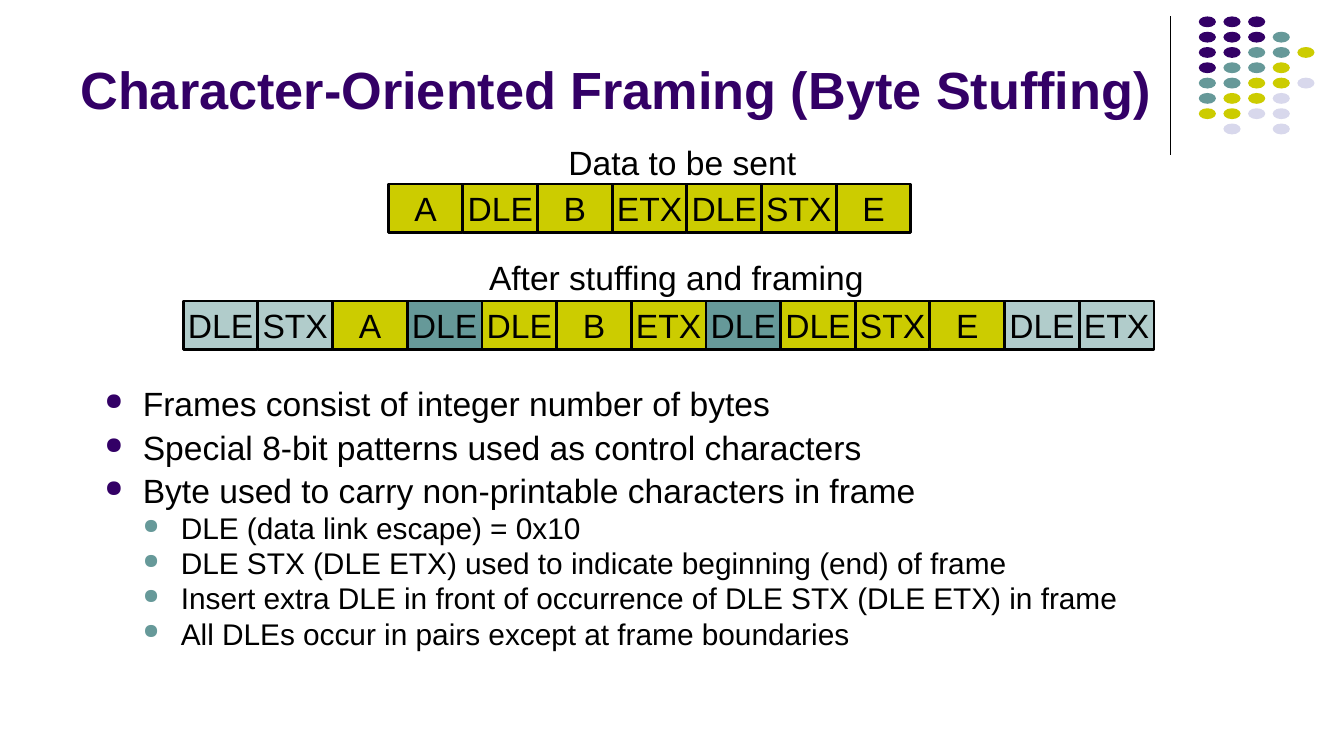
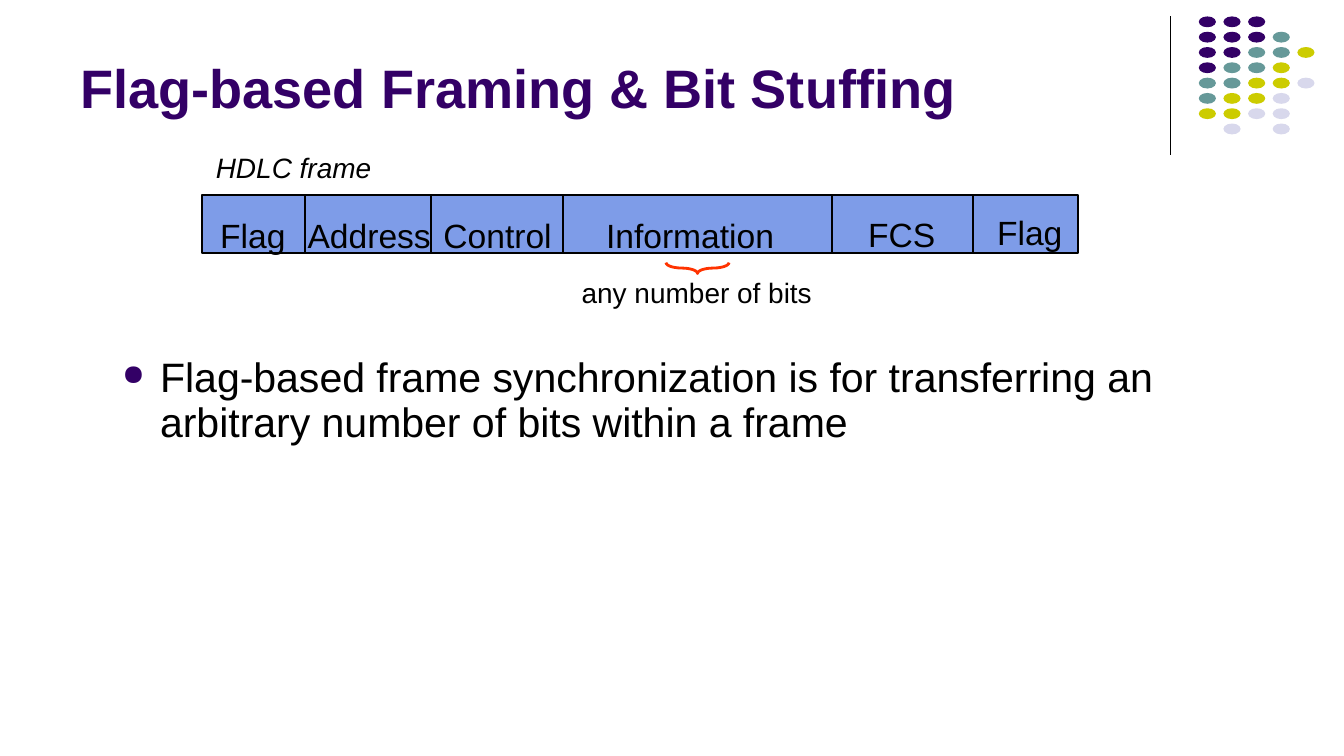
from lxml import etree
from pptx import Presentation
from pptx.dml.color import RGBColor
from pptx.enum import shapes, text
from pptx.oxml import ns
from pptx.util import Pt

FONT = "Arial"
COLORS = {
    "purple": "330066", "teal": "669999", "olive": "CCCC00", "lilac": "D8D8EC",
    "mist": "B1CCCB", "blue": "7E9CE8", "red": "FF3300", "black": "000000",
}
DOT_COLORS = {"P": "purple", "T": "teal", "Y": "olive", "L": "lilac"}
DOT_ROWS = ["PPP", "PPPT", "PPTTY", "PTTY", "TTYYL", "TYYL", "YYLL", " L L"]

DATA = ["A", "DLE", "B", "ETX", "DLE", "STX", "E"]
CELL_W, CELL_H = 40, 26


def rgb(name):
    return RGBColor.from_string(COLORS[name])


def add_line(s, x1, y1, x2, y2, width=1):
    c = s.shapes.add_connector(shapes.MSO_CONNECTOR.STRAIGHT, Pt(x1), Pt(y1), Pt(x2), Pt(y2))
    c.line.color.rgb = rgb("black")
    c.line.width = Pt(width)
    etree.SubElement(c._element.spPr, ns.qn("a:effectLst"))


def add_preset(s, kind, x, y, w, h, fill=None, line=None, width=1):
    sp = s.shapes.add_shape(kind, Pt(x), Pt(y), Pt(w), Pt(h))
    sp.shadow.inherit = False
    if fill:
        sp.fill.solid()
        sp.fill.fore_color.rgb = rgb(fill)
    else:
        sp.fill.background()
    if line:
        sp.line.color.rgb = rgb(line)
        sp.line.width = Pt(width)
    else:
        sp.line.fill.background()
    return sp


def write(p, words, size=18, color="black", bold=False, italic=False, align=None):
    r = p.add_run()
    r.text = words
    f = r.font
    f.name, f.size, f.bold, f.italic = FONT, Pt(size), bold, italic
    f.color.rgb = rgb(color)
    if align:
        p.alignment = align


def add_text(s, words, x, y, w, h, wrap=False, inset=(7.2, 3.6),
             anchor=text.MSO_ANCHOR.TOP, **fmt):
    tf = s.shapes.add_textbox(Pt(x), Pt(y), Pt(w), Pt(h)).text_frame
    tf.word_wrap = wrap
    tf.vertical_anchor = anchor
    tf.margin_left = tf.margin_right = Pt(inset[0])
    tf.margin_top = tf.margin_bottom = Pt(inset[1])
    write(tf.paragraphs[0], words, **fmt)


def set_bullet(p, level, color):
    pPr = p._p.get_or_add_pPr()
    pPr.set("marL", str(Pt(20.4 * (level + 1))))
    pPr.set("indent", str(Pt(-20.4)))
    clr = etree.SubElement(pPr, ns.qn("a:buClr"))
    etree.SubElement(clr, ns.qn("a:srgbClr"), val=COLORS[color])
    etree.SubElement(pPr, ns.qn("a:buSzPct"), val="70000")
    etree.SubElement(pPr, ns.qn("a:buChar"), char="●")


def add_bullets(s, items, x, y, w, h, sizes, spacing):
    """Items are (level, words) pairs; sizes and bullet colours go by level."""
    tf = s.shapes.add_textbox(Pt(x), Pt(y), Pt(w), Pt(h)).text_frame
    tf.word_wrap = True
    for i, (level, words) in enumerate(items):
        p = tf.add_paragraph() if i else tf.paragraphs[0]
        p.level = level
        set_bullet(p, level, ("purple", "teal")[level])
        p.line_spacing = spacing
        p.space_before = Pt((6, 3.5)[level] if i else 0)
        write(p, words, size=sizes[level])


def add_cells(s, cells, x, y):
    """Draw a row of touching byte cells from (label, fill) pairs."""
    for i, (label, fill) in enumerate(cells):
        sp = add_preset(s, shapes.MSO_SHAPE.RECTANGLE, x + i * CELL_W, y, CELL_W, CELL_H,
                        fill, "black", 1.5)
        tf = sp.text_frame
        tf.word_wrap = False
        tf.vertical_anchor = text.MSO_ANCHOR.MIDDLE
        write(tf.paragraphs[0], label, align=text.PP_ALIGN.CENTER)


def new_slide(prs, title, size, width):
    s = prs.slides.add_slide(prs.slide_layouts[6])
    add_line(s, 627.1, 8.8, 627.1, 82.8, 0.75)
    for row, codes in enumerate(DOT_ROWS):
        for col, code in enumerate(codes):
            if code in DOT_COLORS:
                add_preset(s, shapes.MSO_SHAPE.OVAL, 642.2 + 13.2 * col, 8.8 + 8.2 * row,
                           9.2, 5.8, DOT_COLORS[code])
    add_text(s, title, 36, 7.2, width, 60.5, wrap=True, anchor=text.MSO_ANCHOR.BOTTOM,
             size=size, color="purple", bold=True)
    return s


def byte_stuffing(prs):
    s = new_slide(prs, "Character-Oriented Framing (Byte Stuffing)", 28, 613.4)
    add_text(s, "Data to be sent", 297.4, 72.7, 137.5, 28.8)
    add_cells(s, [(label, "olive") for label in DATA], 208, 98.6)

    add_text(s, "After stuffing and framing", 254.9, 133.9, 217.4, 28.8)
    framed = [("DLE", "mist"), ("STX", "mist")]
    for label in DATA:
        if label == "DLE":
            framed.append(("DLE", "teal"))
        framed.append((label, "olive"))
    framed += [("DLE", "mist"), ("ETX", "mist")]
    add_cells(s, framed, 98.2, 161.3)

    add_bullets(s, [
        (0, "Frames consist of integer number of bytes"),
        (0, "Special 8-bit patterns used as control characters"),
        (0, "Byte used to carry non-printable characters in frame"),
        (1, "DLE (data link escape) = 0x10"),
        (1, "DLE STX (DLE ETX) used to indicate beginning (end) of frame"),
        (1, "Insert extra DLE in front of occurrence of DLE STX (DLE ETX) in frame"),
        (1, "All DLEs occur in pairs except at frame boundaries"),
    ], 49, 205.9, 625, 158.4, sizes=(18, 16), spacing=0.8)


def bit_stuffing(prs):
    s = new_slide(prs, "Flag-based Framing & Bit Stuffing", 29, 594)
    add_bullets(s, [(0, "Flag-based frame synchronization is for transferring an "
                        "arbitrary number of bits within a frame")],
                58.3, 187.9, 623.5, 56.9, sizes=(22,), spacing=0.9)

    center = text.PP_ALIGN.CENTER
    add_text(s, "HDLC frame", 108, 77, 98.6, 25.2, size=15, italic=True, align=center)
    add_preset(s, shapes.MSO_SHAPE.RECTANGLE, 108, 104.4, 469.4, 31, "blue", "black")
    for x in (163.4, 231.1, 301.7, 445.7, 521.3):
        add_line(s, x, 105.1, x, 136.1)
    for label, x, y, w in [
        ("Flag", 113, 112.3, 46.1), ("Address", 159.8, 112.3, 77.8),
        ("Control", 232.6, 112.3, 69.1), ("Information", 319.7, 112.3, 101.5),
        ("FCS", 460.1, 111.6, 47.5), ("Flag", 529.2, 110.9, 46.1),
    ]:
        add_text(s, label, x, y, w, 27.4, inset=(5, 2.9))

    brace = add_preset(s, shapes.MSO_SHAPE.LEFT_BRACE, 370.8, 126.7, 5.8, 33.8,
                       line="red", width=1.5)
    brace.rotation = 270
    brace.adjustments[0] = 2.06
    add_text(s, "any number of bits", 303.8, 144, 139, 25.2, size=15, align=center)


def main():
    prs = Presentation()
    prs.slide_width, prs.slide_height = Pt(720), Pt(405)
    byte_stuffing(prs)
    bit_stuffing(prs)
    prs.save("out.pptx")


if __name__ == "__main__":
    main()
